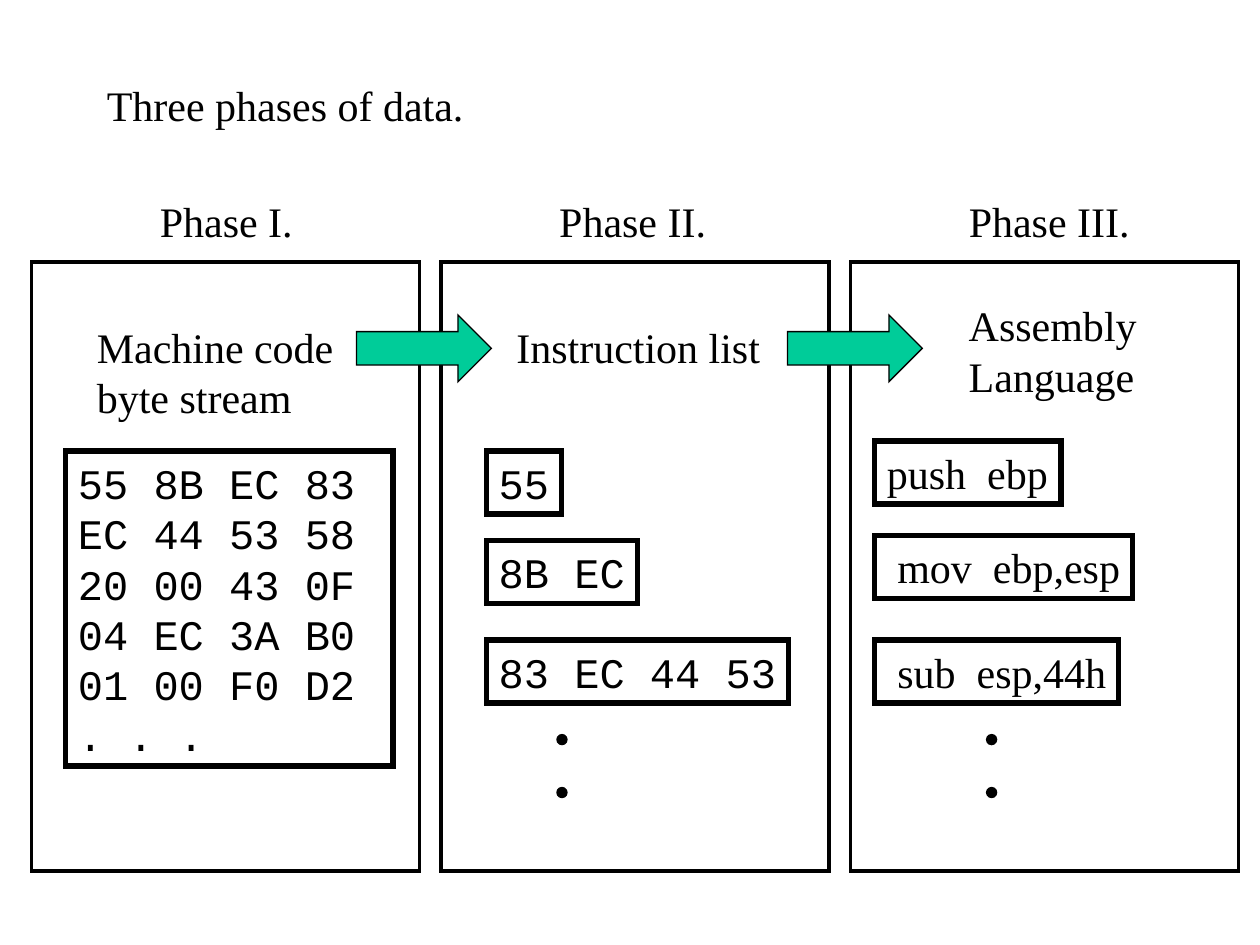
from dataclasses import dataclass

from pptx import Presentation
from pptx.dml.color import RGBColor
from pptx.enum.shapes import MSO_SHAPE
from pptx.enum.text import MSO_ANCHOR, MSO_AUTO_SIZE, PP_ALIGN
from pptx.oxml.ns import qn
from pptx.util import Inches, Pt
from lxml.etree import SubElement


@dataclass(frozen=True)
class Theme:
    ink: RGBColor = RGBColor(0, 0, 0)
    paper: RGBColor = RGBColor(255, 255, 255)
    arrow: RGBColor = RGBColor(0, 0xCC, 0x99)
    serif: str = "Times New Roman"
    mono: str = "Courier New"
    text_size: Pt = Pt(24)
    thin: Pt = Pt(0.75)
    panel_line: Pt = Pt(2.25)
    code_line: Pt = Pt(3)


@dataclass(frozen=True)
class Label:
    """Text with its box in inches, measured from the panel's top left corner."""
    text: str
    left: float
    top: float
    width: float
    height: float = 0.5


@dataclass(frozen=True)
class Phase:
    heading: Label
    description: Label
    code_font: str
    code: tuple
    dots_left: float | None = None


THEME = Theme()
PANEL_LEFT, PANEL_TOP, PANEL_PITCH = 0.25, 2.08, 3.25
PANEL_WIDTH, PANEL_HEIGHT = 3.08, 4.83
HEADING_TOP = -0.58
DOT_TOPS = (3.75, 4.17)
DOT_SIZE = 0.08
ARROW_LEFTS = (2.83, 6.25)

PHASES = (
    Phase(
        Label("Phase I.", 0.92, HEADING_TOP, 1.29),
        Label("Machine code\nbyte stream", 0.42, 0.42, 2.08, 0.9),
        THEME.mono,
        (Label("55 8B EC 83\nEC 44 53 58\n20 00 43 0F\n04 EC 3A B0\n01 00 F0 D2\n. . .",
               0.27, 1.5, 2.6, 2.5),),
    ),
    Phase(
        Label("Phase II.", 0.84, HEADING_TOP, 1.4),
        Label("Instruction list", 0.5, 0.42, 2.17),
        THEME.mono,
        (Label("55", 0.36, 1.5, 0.6),
         Label("8B EC", 0.36, 2.21, 1.2),
         Label("83 EC 44 53", 0.36, 3, 2.4)),
        dots_left=0.92,
    ),
    Phase(
        Label("Phase III.", 0.84, HEADING_TOP, 1.51),
        Label("Assembly\nLanguage", 0.84, 0.25, 1.53, 0.9),
        THEME.serif,
        (Label("push  ebp", 0.19, 1.42, 1.48),
         Label(" mov  ebp,esp", 0.19, 2.17, 2.05),
         Label(" sub  esp,44h", 0.19, 3, 1.94)),
        dots_left=1.08,
    ),
)


def write_text(shape, text, font_name):
    frame = shape.text_frame
    frame.text = text
    frame.word_wrap = False
    frame.auto_size = MSO_AUTO_SIZE.SHAPE_TO_FIT_TEXT
    frame.vertical_anchor = MSO_ANCHOR.TOP
    for paragraph in frame.paragraphs:
        paragraph.alignment = PP_ALIGN.LEFT
        for run in paragraph.runs:
            run.font.name = font_name
            run.font.size = THEME.text_size
            run.font.color.rgb = THEME.ink


def add_outlined(slide, preset, box, line_width, fill=None):
    """Draw a sharp-cornered preset in a (left, top, width, height) box in inches."""
    shape = slide.shapes.add_shape(preset, *map(Inches, box))
    shape.shadow.inherit = False
    if fill is None:
        shape.fill.background()
    else:
        shape.fill.solid()
        shape.fill.fore_color.rgb = fill
    shape.line.color.rgb = THEME.ink
    shape.line.width = line_width
    outline = shape.line._get_or_add_ln()
    SubElement(outline, qn("a:miter"), lim="800000")
    return shape


def label_box(label, left, top):
    return left + label.left, top + label.top, label.width, label.height


def add_label(slide, label, left=0, top=0):
    textbox = slide.shapes.add_textbox(*map(Inches, label_box(label, left, top)))
    write_text(textbox, label.text, THEME.serif)


def add_phase(slide, phase, left, top, width, height):
    add_outlined(slide, MSO_SHAPE.RECTANGLE, (left, top, width, height),
                 THEME.panel_line, THEME.paper)
    add_label(slide, phase.heading, left, top)
    add_label(slide, phase.description, left, top)
    for code in phase.code:
        code_box = add_outlined(slide, MSO_SHAPE.RECTANGLE,
                                label_box(code, left, top), THEME.code_line)
        write_text(code_box, code.text, phase.code_font)
    if phase.dots_left is not None:
        for dot_top in DOT_TOPS:
            add_outlined(slide, MSO_SHAPE.OVAL,
                         (left + phase.dots_left, top + dot_top, DOT_SIZE, DOT_SIZE),
                         THEME.thin, THEME.ink)


def main():
    presentation = Presentation()
    presentation.slide_width = Inches(10)
    presentation.slide_height = Inches(7.5)
    slide = presentation.slides.add_slide(presentation.slide_layouts[6])

    add_label(slide, Label("Three phases of data.", 0.75, 0.58, 3.03))
    for index, phase in enumerate(PHASES):
        add_phase(slide, phase, PANEL_LEFT + index * PANEL_PITCH, PANEL_TOP,
                  PANEL_WIDTH, PANEL_HEIGHT)
    for arrow_left in ARROW_LEFTS:
        add_outlined(slide, MSO_SHAPE.RIGHT_ARROW, (arrow_left, 2.5, 1.07, 0.53),
                     THEME.thin, THEME.arrow)

    presentation.save("out.pptx")


if __name__ == "__main__":
    main()
